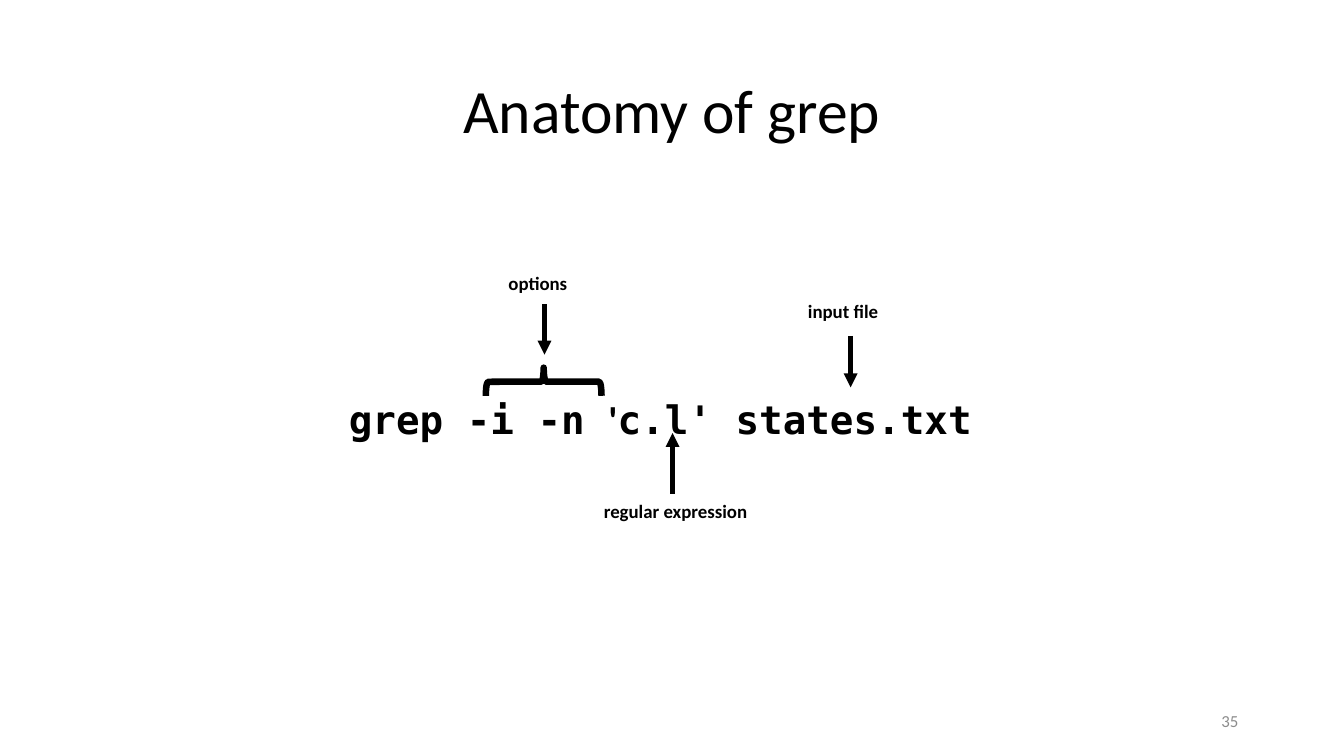
from lxml.etree import SubElement
from pptx import Presentation
from pptx.dml.color import RGBColor
from pptx.enum.shapes import MSO_CONNECTOR as Link, MSO_SHAPE as Kind
from pptx.enum.text import MSO_ANCHOR as Anchor, PP_ALIGN as Align
from pptx.oxml.ns import qn
from pptx.util import Pt

SANS = "Calibri"
MONO = "DejaVu Sans Mono"
BLACK = "000000"
GRAY = "8C8C8C"


def paint(item, color):
    item.rgb = RGBColor.from_string(color)


def add_text(slide, box, parts, size, align=Align.CENTER, color=BLACK,
             bold=False, wrap=True, anchor=Anchor.MIDDLE):
    frame = slide.shapes.add_textbox(*map(Pt, box)).text_frame
    frame.word_wrap = wrap
    frame.vertical_anchor = anchor
    para = frame.paragraphs[0]
    para.alignment = align
    para.font.size = Pt(size)
    para.font.bold = bold
    paint(para.font.color, color)
    for text, face in parts:
        run = para.add_run()
        run.text = text
        run.font.name = face
    return frame


def add_label(slide, left, top, width, text):
    add_text(slide, (left, top, width, 19.5), [(text, SANS)], 10.1,
             Align.LEFT, bold=True, wrap=False, anchor=Anchor.TOP)


def add_arrow(slide, x, start, end):
    arrow = slide.shapes.add_connector(
        Link.STRAIGHT, Pt(x), Pt(start), Pt(x), Pt(end))
    paint(arrow.line.color, BLACK)
    arrow.line.width = Pt(2.5)
    SubElement(arrow.line._get_or_add_ln(), qn("a:tailEnd"), type="triangle")
    SubElement(arrow._element.spPr, qn("a:effectLst"))


def add_brace(slide, left, top, width, height):
    brace = slide.shapes.add_shape(
        Kind.LEFT_BRACE, Pt(left), Pt(top), Pt(width), Pt(height))
    brace.rotation = 90
    brace.shadow.inherit = False
    brace.fill.background()
    paint(brace.line.color, BLACK)
    brace.line.width = Pt(3.5)


def main():
    deck = Presentation()
    deck.slide_width, deck.slide_height = Pt(720), Pt(405)
    slide = deck.slides.add_slide(deck.slide_layouts[6])

    title = add_text(slide, (49.5, 21.5, 621, 78.5),
                     [("Anatomy of grep", SANS)], 33)
    parts = [("grep -i -n ", MONO), ("'", SANS), ("c.l' states.txt ", MONO)]
    code = add_text(slide, (49.5, 108, 621, 257), parts, 21, bold=True)
    code.margin_bottom = Pt(24.6)
    for frame in (title, code):
        frame.paragraphs[0].line_spacing = 0.9
    add_text(slide, (508.5, 375.25, 162, 21.5), [("35", SANS)], 9,
             Align.RIGHT, GRAY)

    add_brace(slide, 283.7, 173.5, 15.1, 62)
    for label in ((265.3, 142, 46.8, "options"),
                  (316.4, 264.3, 92.9, "regular expression"),
                  (425.8, 157, 52.6, "input file")):
        add_label(slide, *label)
    for arrow in ((360.3, 264.5, 232), (291.7, 163, 190), (455.7, 180, 207.5)):
        add_arrow(slide, *arrow)

    deck.save("out.pptx")


main()
